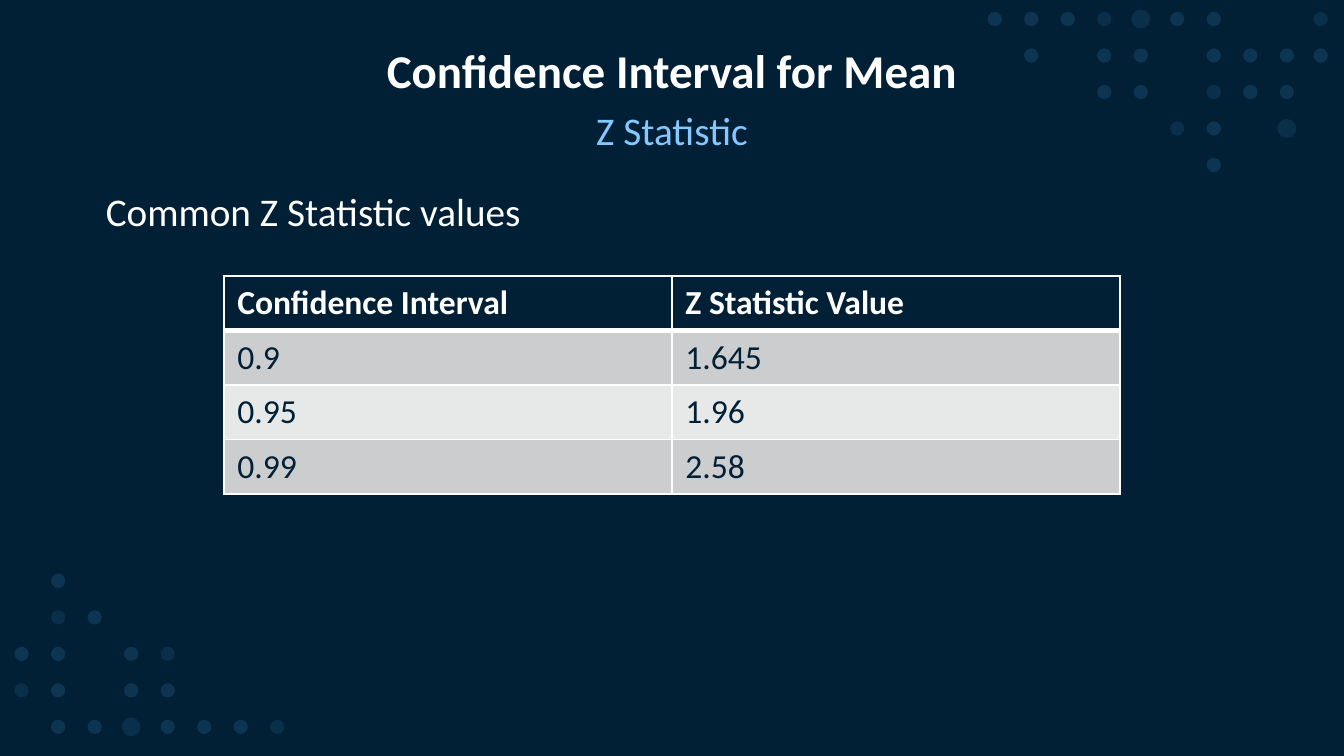
from lxml import etree
from pptx import Presentation
from pptx.dml.color import RGBColor
from pptx.enum.shapes import MSO_SHAPE
from pptx.enum.text import MSO_ANCHOR, PP_ALIGN
from pptx.oxml.ns import qn
from pptx.util import Cm, Pt

OVAL = MSO_SHAPE.OVAL
TOP, MIDDLE = MSO_ANCHOR.TOP, MSO_ANCHOR.MIDDLE
LEFT, CENTER = PP_ALIGN.LEFT, PP_ALIGN.CENTER

FONT = "Calibri"
COLORS = {
    "navy": "012036",
    "dot": "5CB5FF",
    "sky": "85C8FF",
    "white": "FFFFFF",
    "band_dark": "CCCDCE",
    "band_light": "E7E8E8",
}

# Dot kinds: diameter in cm, opacity in percent
DOTS = {"o": (0.27, 14), "f": (0.27, 10), "F": (0.36, 10)}
DOT_PITCH = 0.69
TOP_DOTS = ["ooofFoo", "-o-oo-ooo", "---oo-foo", "-----fo-F", "------o"]
EDGE_DOTS = ["f", "o"]
BOTTOM_DOTS = ["-o", "-fo", "oo-of", "fo-oo", "-ooFooof"]

Z_VALUES = [
    ("Confidence Interval", "Z Statistic Value"),
    ("0.9", "1.645"),
    ("0.95", "1.96"),
    ("0.99", "2.58"),
]


class SlideBuilder:
    def __init__(self, slide):
        self.slide = slide

    def color(self, name):
        return RGBColor.from_string(COLORS[name])

    def fill(self, target, name):
        target.fill.solid()
        target.fill.fore_color.rgb = self.color(name)

    def run(self, paragraph, text, size, color, bold=False):
        run = paragraph.add_run()
        run.text = text
        run.font.name = FONT
        run.font.size = Pt(size)
        run.font.bold = bold
        run.font.color.rgb = self.color(color)

    def text(self, text, top, height, size, color, align=LEFT,
             anchor=TOP, spacing=0.85, bold=False):
        box = self.slide.shapes.add_textbox(Cm(1.75), Cm(top), Cm(21.9), Cm(height))
        frame = box.text_frame
        frame.word_wrap = True
        frame.vertical_anchor = anchor
        paragraph = frame.paragraphs[0]
        paragraph.alignment = align
        paragraph.line_spacing = spacing
        self.run(paragraph, text, size, color, bold)

    def dot(self, center_x, center_y, kind):
        diameter, opacity = DOTS[kind]
        shape = self.slide.shapes.add_shape(
            OVAL, Cm(center_x - diameter / 2), Cm(center_y - diameter / 2),
            Cm(diameter), Cm(diameter))
        shape.shadow.inherit = False
        shape.line.fill.background()
        self.fill(shape, "dot")
        color = shape.fill._xPr.find(qn("a:solidFill"))[0]
        etree.SubElement(color, qn("a:alpha"), val=str(opacity * 1000))

    def dot_grid(self, first_x, first_y, rows):
        for row, kinds in enumerate(rows):
            for column, kind in enumerate(kinds):
                if kind in DOTS:
                    self.dot(first_x + column * DOT_PITCH,
                             first_y + row * DOT_PITCH, kind)

    def border(self, cell, side, width):
        line = etree.SubElement(cell._tc.get_or_add_tcPr(), qn(f"a:ln{side}"),
                                w=str(Pt(width)))
        solid = etree.SubElement(line, qn("a:solidFill"))
        etree.SubElement(solid, qn("a:srgbClr"), val=COLORS["white"])

    def table(self, rows, left, top, column_width, row_height):
        columns = len(rows[0])
        table = self.slide.shapes.add_table(
            len(rows), columns, Cm(left), Cm(top),
            Cm(column_width * columns), Cm(row_height * len(rows))).table
        for column in table.columns:
            column.width = Cm(column_width)
        for index, values in enumerate(rows):
            header = index == 0
            band = "navy" if header else ("band_dark" if index % 2 else "band_light")
            table.rows[index].height = Cm(row_height)
            for column, value in enumerate(values):
                cell = table.cell(index, column)
                # The rule under the header is heavier than the rest
                for side, heavy in (("L", False), ("R", False),
                                    ("T", index == 1), ("B", header)):
                    self.border(cell, side, 3 if heavy else 1)
                self.fill(cell, band)
                self.run(cell.text_frame.paragraphs[0], value, 18,
                         "white" if header else "navy", header)


def main():
    presentation = Presentation()
    presentation.slide_width = Cm(25.4)
    presentation.slide_height = Cm(14.29)
    slide = presentation.slides.add_slide(presentation.slide_layouts[6])
    builder = SlideBuilder(slide)

    # Background and corner dots
    builder.fill(slide.background, "navy")
    builder.dot_grid(18.8, 0.36, TOP_DOTS)
    builder.dot_grid(24.96, 0.36, EDGE_DOTS)
    builder.dot_grid(0.41, 10.98, BOTTOM_DOTS)

    # Headings
    builder.text("Confidence Interval for Mean", 0.76, 1.27, 25.2, "white",
                 CENTER, MIDDLE, 0.9, True)
    builder.text("Common Z Statistic values", 3.56, 1.42, 21, "white")
    builder.text("Z Statistic", 2.03, 1.27, 21, "sky", CENTER)

    # Table of values
    builder.table(Z_VALUES, 4.23, 5.22, 8.47, 1.03)

    presentation.save("out.pptx")


if __name__ == "__main__":
    main()
